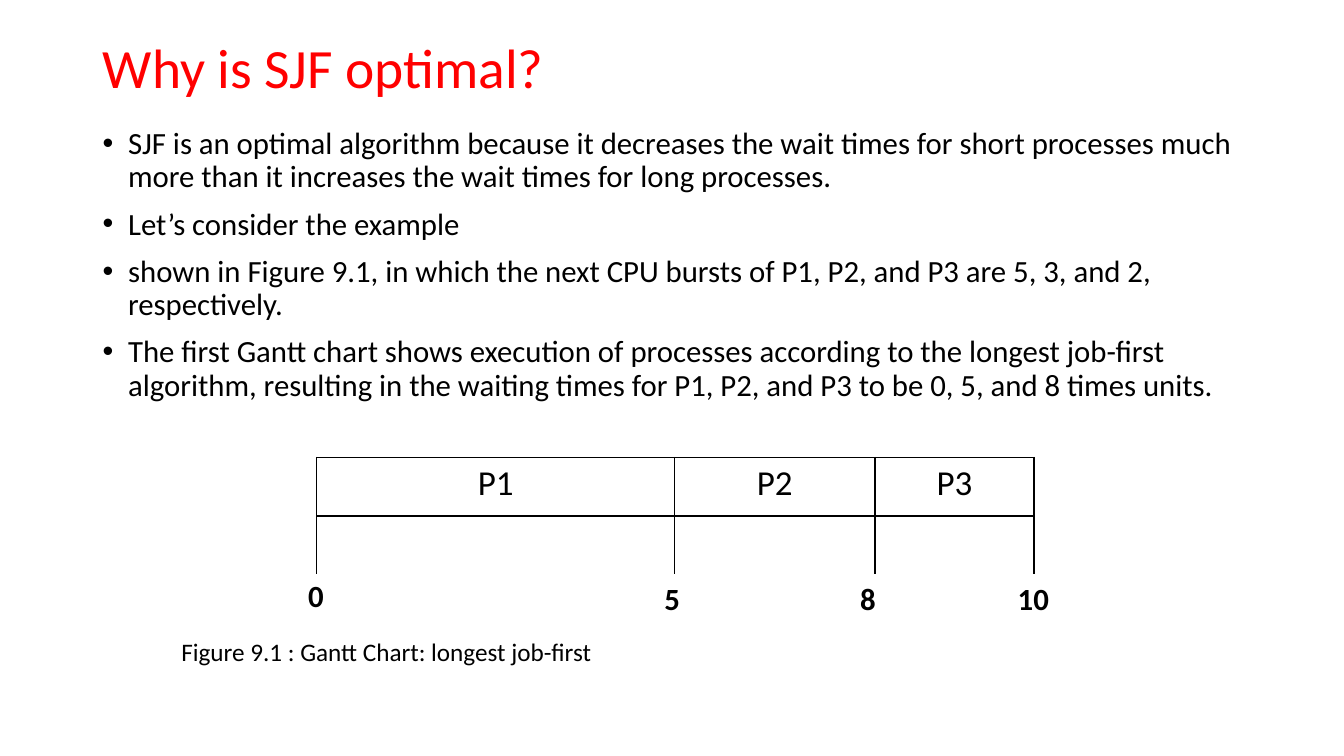
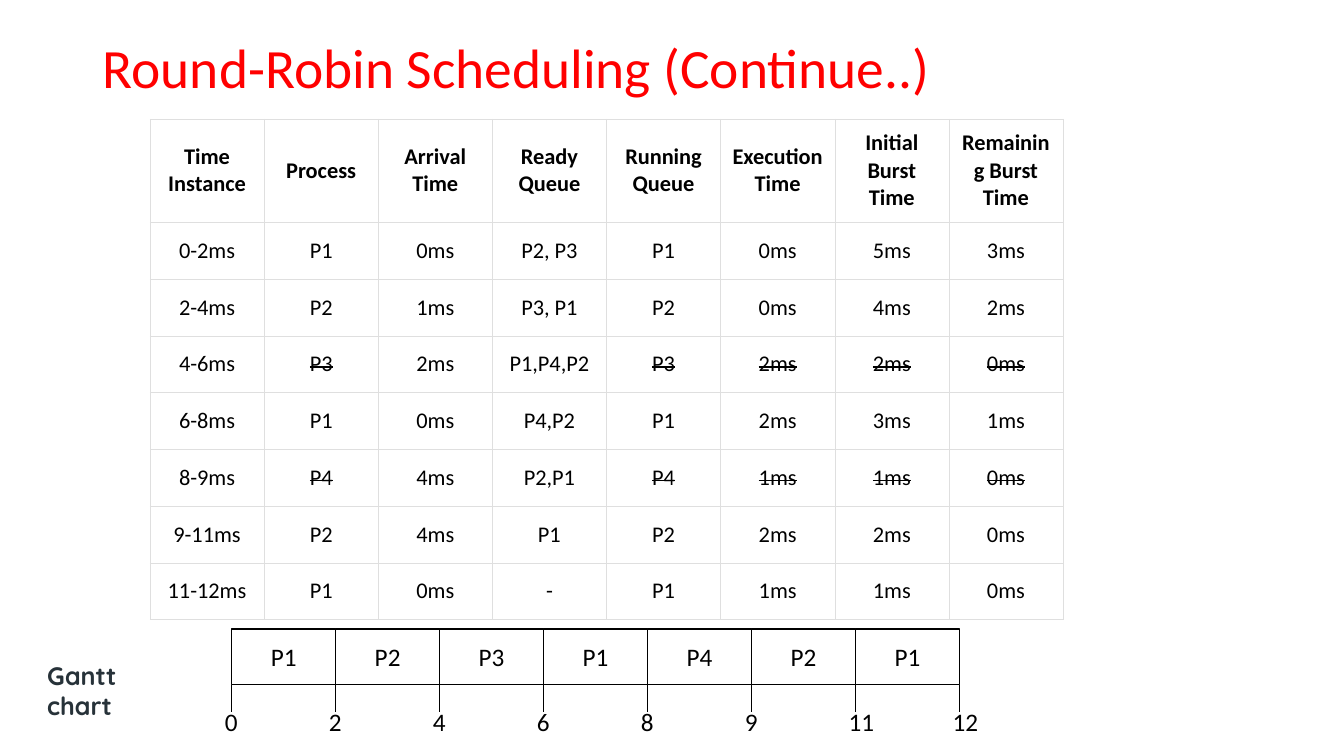
from pptx import Presentation
from pptx.dml.color import RGBColor
from pptx.enum.shapes import MSO_CONNECTOR, MSO_SHAPE
from pptx.enum.text import MSO_ANCHOR as Anchor, PP_ALIGN as Align
from pptx.oxml import parse_xml
from pptx.oxml.ns import nsdecls, qn
from pptx.util import Cm, Pt
from lxml.etree import SubElement

BLACK, WHITE, RED, SLATE, GRID = "000000", "FFFFFF", "FF0000", "273239", "DFDFDF"


def color(hex_string):
    return RGBColor.from_string(hex_string)


def write(frame, text, size, ink=BLACK, font="Calibri", bold=False,
          align=Align.CENTER, wrap=True):
    frame.text = text
    frame.word_wrap = wrap
    for paragraph in frame.paragraphs:
        paragraph.alignment = align
        for run in paragraph.runs:
            run.font.name = font
            run.font.size = Pt(size)
            run.font.bold = bold
            run.font.color.rgb = color(ink)


presentation = Presentation()
presentation.slide_width, presentation.slide_height = Cm(33.87), Cm(19.05)

# Slides with their shared title style
slides = []
for title in ("Why is SJF optimal?", "Round-Robin Scheduling (Continue..)"):
    slide = presentation.slides.add_slide(presentation.slide_layouts[6])
    frame = slide.shapes.add_textbox(Cm(2.34), Cm(1.02), Cm(29.21), Cm(1.5)).text_frame
    write(frame, title, 39.6, RED, align=Align.LEFT)
    frame.vertical_anchor = Anchor.MIDDLE
    frame.paragraphs[0].line_spacing = 0.9
    slides.append(slide)
sjf_slide, robin_slide = slides

# SJF: bullets
bullets = (
    "SJF is an optimal algorithm because it decreases the wait times for short "
    "processes much more than it increases the wait times for long processes.",
    "Let’s consider the example",
    "shown in Figure 9.1, in which the next CPU bursts of P1, P2, and P3 are 5, 3, "
    "and 2, respectively.",
    "The first Gantt chart shows execution of processes according to the longest "
    "job-first algorithm, resulting in the waiting times for P1, P2, and P3 to be "
    "0, 5, and 8 times units.",
)
frame = sjf_slide.shapes.add_textbox(Cm(2.34), Cm(3.1), Cm(29.21), Cm(14.07)).text_frame
write(frame, "\n".join(bullets), 22, align=Align.LEFT)
for paragraph in frame.paragraphs:
    paragraph.line_spacing = 0.9
    paragraph.space_before = Pt(10)
    properties = paragraph._p.get_or_add_pPr()
    properties.set("marL", str(Cm(0.64)))
    properties.set("indent", str(-Cm(0.64)))
    SubElement(properties, qn("a:buFont"), typeface="Arial")
    SubElement(properties, qn("a:buChar"), char="•")

# SJF: Gantt chart table
bar_widths = (9.02, 5.05, 4.01)
sjf_table = sjf_slide.shapes.add_table(
    2, 3, Cm(7.98), Cm(11.53), Cm(sum(bar_widths)), Cm(2.94)).table
for column, width in enumerate(bar_widths):
    sjf_table.columns[column].width = Cm(width)
    write(sjf_table.cell(0, column).text_frame, f"P{column + 1}", 25)

# SJF: time marks and caption
for time, center, top in (("0", 7.96, 14.4), ("5", 16.94, 14.48),
                          ("8", 21.87, 14.48), ("10", 26.04, 14.48)):
    box = sjf_slide.shapes.add_textbox(Cm(center - 0.79), Cm(top), Cm(1.58), Cm(1.19))
    write(box.text_frame, time, 22, bold=True)
box = sjf_slide.shapes.add_textbox(Cm(4.32), Cm(15.9), Cm(11.13), Cm(1.02))
write(box.text_frame, "Figure 9.1 : Gantt Chart: longest job-first", 18,
      align=Align.LEFT, wrap=False)

# Round-robin: schedule table
schedule = (
    ("Time Instance", "Process", "Arrival Time", "Ready Queue", "Running Queue",
     "Execution Time", "Initial Burst Time", "Remaining Burst Time"),
    ("0-2ms", "P1", "0ms", "P2, P3", "P1", "0ms", "5ms", "3ms"),
    ("2-4ms", "P2", "1ms", "P3, P1", "P2", "0ms", "4ms", "2ms"),
    ("4-6ms", "P3", "2ms", "P1,P4,P2", "P3", "2ms", "2ms", "0ms"),
    ("6-8ms", "P1", "0ms", "P4,P2", "P1", "2ms", "3ms", "1ms"),
    ("8-9ms", "P4", "4ms", "P2,P1", "P4", "1ms", "1ms", "0ms"),
    ("9-11ms", "P2", "4ms", "P1", "P2", "2ms", "2ms", "0ms"),
    ("11-12ms", "P1", "0ms", "-", "P1", "1ms", "1ms", "0ms"),
)
finished_rows, struck_columns = (3, 5), (1, 4, 5, 6, 7)
robin_table = robin_slide.shapes.add_table(
    8, 8, Cm(3.78), Cm(3), Cm(23.01), Cm(12.61)).table
for row, values in enumerate(schedule):
    header = row == 0
    robin_table.rows[row].height = Cm(2.6 if header else 1.43)
    for column, value in enumerate(values):
        cell = robin_table.cell(row, column)
        write(cell.text_frame, value, 16, bold=header)
        cell.vertical_anchor = Anchor.MIDDLE
        cell.margin_left = cell.margin_right = Cm(0.1 if header and column == 0 else 0.25)
        cell.margin_top = cell.margin_bottom = Cm(0.25 if header else 0.37)
        if row in finished_rows and column in struck_columns:
            run = cell.text_frame.paragraphs[0].runs[0]
            run._r.get_or_add_rPr().set("strike", "sngStrike")

# Fill and borders of both tables
for table, ink, points in ((sjf_table, BLACK, 1), (robin_table, GRID, 0.23)):
    table.first_row = table.horz_banding = False
    for cell in table.iter_cells():
        cell.fill.solid()
        cell.fill.fore_color.rgb = color(WHITE)
        properties = cell._tc.get_or_add_tcPr()
        for position, edge in enumerate(("lnL", "lnR", "lnT", "lnB")):
            is_open = table is sjf_table and edge == "lnB" and not cell.text_frame.text
            paint = ("<a:noFill/>" if is_open else
                     f'<a:solidFill><a:srgbClr val="{ink}"/></a:solidFill>')
            properties.insert(position, parse_xml(
                f'<a:{edge} {nsdecls("a")} w="{Pt(points)}">{paint}</a:{edge}>'))

# Round-robin: Gantt chart label
box = robin_slide.shapes.add_textbox(Cm(0.94), Cm(16.51), Cm(2.8), Cm(1.8))
write(box.text_frame, "Gantt chart", 18, SLATE, "Quicksand", True, Align.LEFT)

# Round-robin: Gantt bars
chart_left, bar_top, bar_width, bar_height = 5.84, 15.85, 2.62, 1.4
for index, process in enumerate(("P1", "P2", "P3", "P1", "P4", "P2", "P1")):
    bar = robin_slide.shapes.add_shape(
        MSO_SHAPE.RECTANGLE, Cm(chart_left + index * bar_width), Cm(bar_top),
        Cm(bar_width), Cm(bar_height))
    bar.shadow.inherit = False
    bar.fill.solid()
    bar.fill.fore_color.rgb = color(WHITE)
    bar.line.color.rgb = color(BLACK)
    bar.line.width = Pt(1)
    bar.text_frame.vertical_anchor = Anchor.MIDDLE
    write(bar.text_frame, process, 18)

# Round-robin: ticks and times
tick_top = bar_top + bar_height
for index, time in enumerate(("0", "2", "4", "6", "8", "9", "11", "12")):
    left = chart_left + index * bar_width
    tick = robin_slide.shapes.add_connector(
        MSO_CONNECTOR.STRAIGHT, Cm(left), Cm(tick_top), Cm(left), Cm(tick_top + 0.68))
    tick.line.color.rgb = color(BLACK)
    tick.line.width = Pt(0.5)
    SubElement(tick._element.spPr, qn("a:effectLst"))
    box = robin_slide.shapes.add_textbox(
        Cm(left - 0.42), Cm(17.68), Cm(0.84 if len(time) == 1 else 1.17), Cm(1.02))
    write(box.text_frame, time, 18, align=Align.LEFT, wrap=False)

presentation.save("out.pptx")
